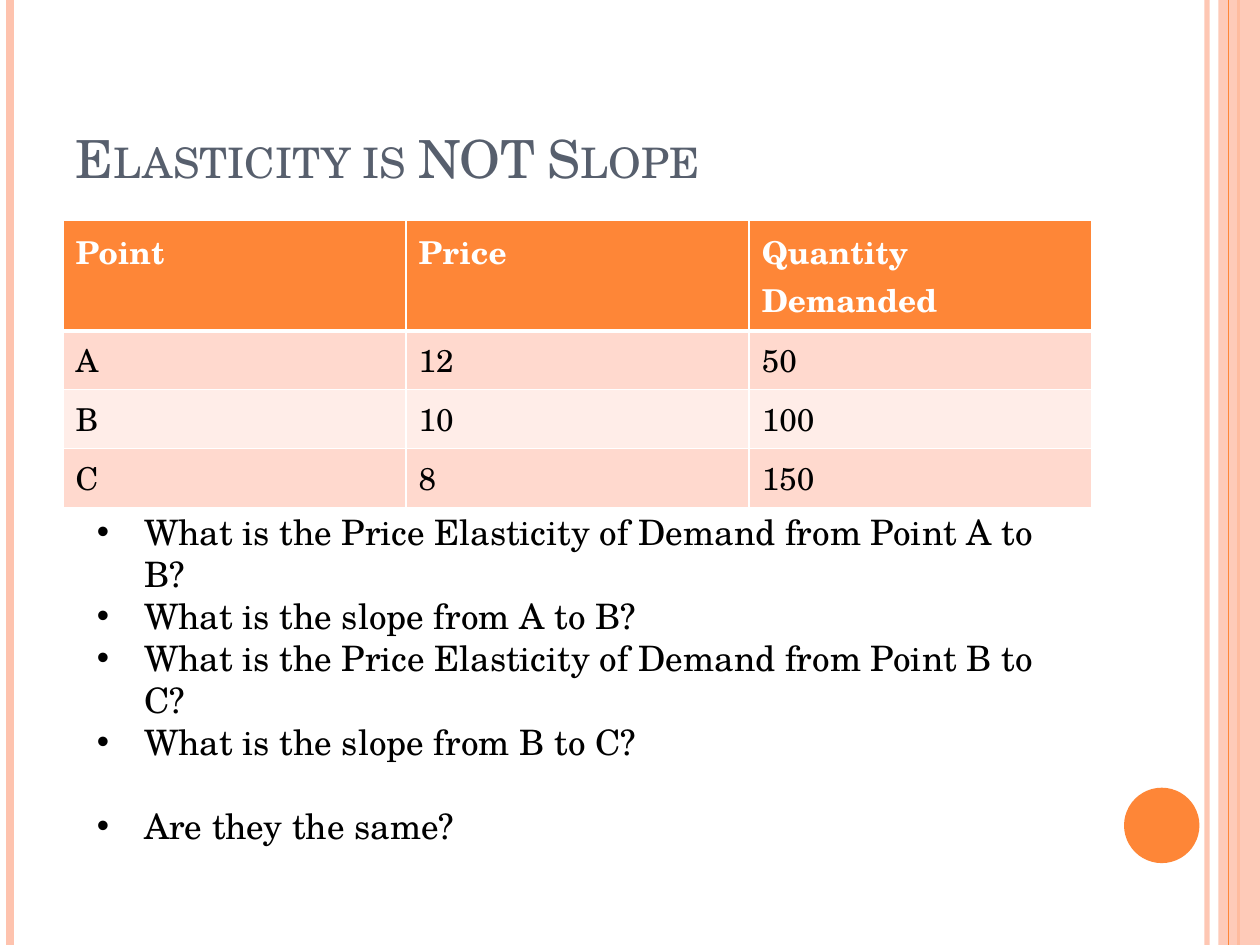
from lxml import etree
from pptx import Presentation
from pptx import util as u
from pptx.dml.color import RGBColor
from pptx.enum import shapes, text
from pptx.oxml import ns

THEME = {
    "font": "TeX Gyre Schola",
    "title": 30, "list": 20, "cell": 18,
    "slate": "575F6D", "orange": "FE8637", "peach": "FEC3AE",
    "white": "FFFFFF", "black": "000000",
    "bands": ("FFD9CE", "FFEDE8"),
}
WIDE, HIGH = 25.4, 19.05

TITLE = "Elasticity is NOT Slope"
ROWS = [
    ("Point", "Price", "Quantity Demanded"),
    ("A", "12", "50"),
    ("B", "10", "100"),
    ("C", "8", "150"),
]
ASKS = [
    "What is the Price Elasticity of Demand from Point A to B?",
    "What is the slope from A to B?",
    "What is the Price Elasticity of Demand from Point B to C?",
    "What is the slope from B to C?",
    "Are they the same?",
]
BACK = [(24.33, "peach", 3, 93), (0.2, "peach", 4.5, 100), (24.97, "orange", 1.5, 100)]
FRONT = [(24.77, "orange", 0.75, 100)]
BAND = (24.56, 0, 0.84, HIGH)
DISC = (22.66, 15.88, 1.52, 1.52)
HEAD = (1.27, 0.76, 20.75, 3.18)
TALL, LOW = 2.2, 1.18
GRID = (1.27, 4.45, 20.75, TALL + LOW * (len(ROWS) - 1))
BODY = (1.7, 10.16, 20.12, 7.95)
INDENT = 0.95


def rgb(hue):
    return RGBColor.from_string(hue)


def box(area):
    return [u.Cm(n) for n in area]


def add(node, tag, **attrs):
    return etree.SubElement(node, ns.qn(tag), **attrs)


def fade(shape, pct):
    for hue in shape._element.spPr.iter(ns.qn("a:srgbClr")):
        add(hue, "a:alpha", val=str(pct * 1000))


def style(para, size, hue, bold=False):
    for run in para.runs:
        font = run.font
        font.name, font.size, font.bold = THEME["font"], u.Pt(size), bold
        font.color.rgb = rgb(hue)


def rule(slide, x, hue, width, pct):
    line = slide.shapes.add_connector(
        shapes.MSO_CONNECTOR.STRAIGHT, u.Cm(x), 0, u.Cm(x), u.Cm(HIGH))
    line.line.color.rgb = rgb(THEME[hue])
    line.line.width = u.Pt(width)
    if pct < 100:
        fade(line, pct)
    add(line._element.spPr, "a:effectLst")


def solid(slide, kind, area, hue):
    shape = slide.shapes.add_shape(kind, *box(area))
    shape.shadow.inherit = False
    shape.fill.solid()
    shape.fill.fore_color.rgb = rgb(THEME[hue])
    shape.line.fill.background()
    return shape


def place(slide, holder, area):
    holder.left, holder.top, holder.width, holder.height = box(area)
    slide.shapes._spTree.append(holder._element)
    holder.text_frame.word_wrap = True
    return holder.text_frame


def edge(cell, first):
    props = cell._tc.get_or_add_tcPr()
    for side in "LRTB":
        width = 3 if first and side == "B" else 1
        line = add(props, "a:ln" + side, w=str(u.Pt(width)))
        add(add(line, "a:solidFill"), "a:srgbClr", val=THEME["white"])


def fill_grid(slide):
    grid = slide.shapes.add_table(len(ROWS), len(ROWS[0]), *box(GRID)).table
    for col in grid.columns:
        col.width = u.Cm(GRID[2] / len(ROWS[0]))
    for r, row in enumerate(ROWS):
        first = r == 0
        grid.rows[r].height = u.Cm(TALL if first else LOW)
        for c, word in enumerate(row):
            cell = grid.cell(r, c)
            edge(cell, first)
            cell.fill.solid()
            cell.fill.fore_color.rgb = rgb(
                THEME["orange"] if first else THEME["bands"][(r - 1) % 2])
            cell.text_frame.text = word
            style(cell.text_frame.paragraphs[0], THEME["cell"],
                  THEME["white" if first else "black"], first)


def fill_list(frame):
    frame.text = "\n".join(ASKS)
    frame.auto_size = text.MSO_AUTO_SIZE.SHAPE_TO_FIT_TEXT
    for para in frame.paragraphs:
        props = para._p.get_or_add_pPr()
        props.set("marL", str(u.Cm(INDENT)))
        props.set("indent", str(-u.Cm(INDENT)))
        add(props, "a:buChar", char="•")
        para.space_before = u.Pt(0)
        style(para, THEME["list"], THEME["black"])
    frame.paragraphs[-1].space_before = u.Pt(24)


def main():
    deck = Presentation()
    deck.slide_width, deck.slide_height = u.Cm(WIDE), u.Cm(HIGH)
    slide = deck.slides.add_slide(deck.slide_layouts[1])

    for spec in BACK:
        rule(slide, *spec)
    fade(solid(slide, shapes.MSO_SHAPE.RECTANGLE, BAND, "peach"), 87)
    for spec in FRONT:
        rule(slide, *spec)
    solid(slide, shapes.MSO_SHAPE.OVAL, DISC, "orange")

    body = slide.placeholders[1]
    frame = place(slide, slide.shapes.title, HEAD)
    frame.text = TITLE
    frame.vertical_anchor = text.MSO_ANCHOR.BOTTOM
    para = frame.paragraphs[0]
    para.alignment = text.PP_ALIGN.LEFT
    style(para, THEME["title"], THEME["slate"])
    para.runs[0].font._element.set("cap", "small")

    fill_grid(slide)
    fill_list(place(slide, body, BODY))
    deck.save("out.pptx")


if __name__ == "__main__":
    main()
